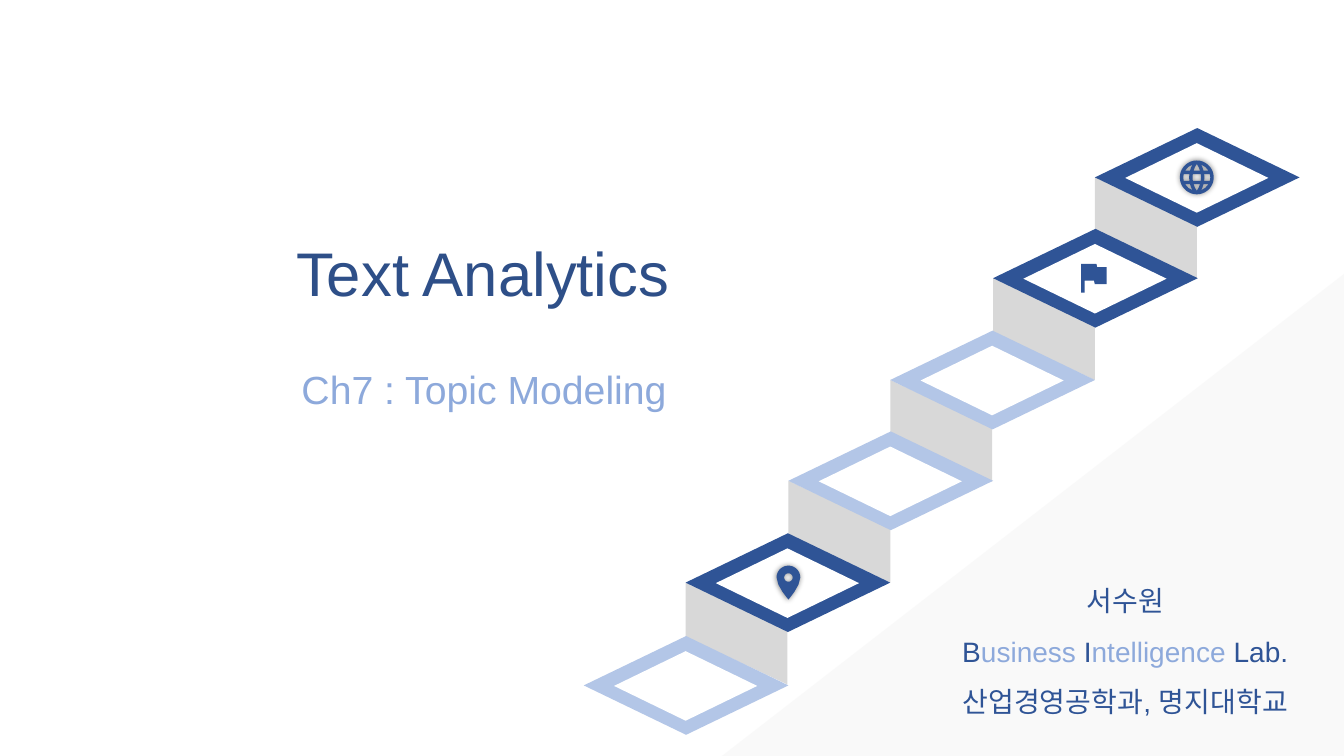
import math
import pptx
import pptx.util
import pptx.dml.color
import pptx.enum.shapes
import pptx.enum.text
import pptx.oxml
import pptx.oxml.ns

PX = 9144
ICON_UNIT = 1.68
COLORS = {
    "navy": "2F5496", "title": "2E4F88", "sky": "8DA9DB", "pale": "B3C6E7",
    "white": "FFFFFF", "riser": "D8D8D8", "corner": "F2F2F2",
}
SHAPE = pptx.enum.shapes.MSO_SHAPE


def rgb(name):
    return pptx.dml.color.RGBColor.from_string(COLORS[name])


class Deck:
    font = "Arial"

    def __init__(self, width, height):
        self.prs = pptx.Presentation()
        self.prs.slide_width = width * PX
        self.prs.slide_height = height * PX
        self.s = self.prs.slides.add_slide(self.prs.slide_layouts[6])

    def paint(self, sp, color):
        sp.shadow.inherit = False
        sp.fill.solid()
        sp.fill.fore_color.rgb = rgb(color)
        sp.line.fill.background()
        return sp

    def shape(self, kind, x, y, w, h, color):
        sp = self.s.shapes.add_shape(kind, x * PX, y * PX, w * PX, h * PX)
        return self.paint(sp, color)

    def icon(self, contours, cx, cy, color, glow=False):
        scaled = [[(round(x * 100), round(y * 100)) for x, y in c] for c in contours]
        first = scaled[0]
        fb = self.s.shapes.build_freeform(*first[0], scale=ICON_UNIT * PX / 100)
        fb.add_line_segments(first[1:], close=True)
        for points in scaled[1:]:
            fb.move_to(*points[0])
            fb.add_line_segments(points[1:], close=True)
        sp = self.paint(fb.convert_to_shape(cx * PX, cy * PX), color)
        if glow:
            effects = sp._element.spPr.find(pptx.oxml.ns.qn("a:effectLst"))
            effects.append(pptx.oxml.parse_xml(
                f'<a:outerShdw {pptx.oxml.ns.nsdecls("a")} blurRad="50800" dist="0" '
                'algn="ctr" rotWithShape="0"><a:srgbClr val="000000">'
                '<a:alpha val="45000"/></a:srgbClr></a:outerShdw>'))

    def text(self, x, y, w, h, lines, size, spacing=None):
        tf = self.s.shapes.add_textbox(x * PX, y * PX, w * PX, h * PX).text_frame
        tf.word_wrap = True
        tf.vertical_anchor = pptx.enum.text.MSO_ANCHOR.MIDDLE
        tf.margin_left = tf.margin_right = tf.margin_top = tf.margin_bottom = 0
        for i, runs in enumerate(lines):
            p = tf.paragraphs[0] if i == 0 else tf.add_paragraph()
            p.alignment = pptx.enum.text.PP_ALIGN.CENTER
            p.line_spacing = spacing
            for words, color in runs:
                r = p.add_run()
                r.text = words
                r.font.name = self.font
                r.font.size = pptx.util.Pt(size)
                r.font.color.rgb = rgb(color)


def arc(radius, cy=0, start=0, end=360):
    angles = [math.radians(start + (end - start) * i / 36) for i in range(37)]
    return [(radius * math.cos(a), cy + radius * math.sin(a)) for a in angles]


def mirror(points, sx, sy):
    return [(x * sx, y * sy) for x, y in points]


def globe():
    corner = [(6.92, -4), (3.97, -4), (3.4, -5.8), (2.59, -7.56), (5, -6.2)]
    cap = [(0, -7.96), (1.1, -6.1), (1.91, -4), (-1.91, -4), (-1.1, -6.1)]
    side = [(7.74, -2), (8, 0), (7.74, 2), (4.36, 2), (4.5, 0), (4.36, -2)]
    middle = [(2.34, -2), (2.5, 0), (2.34, 2), (-2.34, 2), (-2.5, 0), (-2.34, -2)]
    return ([arc(10), middle]
            + [mirror(corner, sx, sy) for sx in (1, -1) for sy in (1, -1)]
            + [mirror(cap, 1, sy) for sy in (1, -1)]
            + [mirror(side, sx, 1) for sx in (1, -1)])


def pin():
    edge = [(5.9, 1.25), (3.5, 5.47), (1.09, 8.7)]
    tail = edge + [(0, 10)] + mirror(edge, -1, 1)[::-1]
    return [arc(7, -3, 180, 360) + tail, arc(2.5, -3)]


def flag():
    return [[(1.9, -6.5), (1.5, -8.5), (-7.5, -8.5), (-7.5, 8.5), (-5.5, 8.5),
             (-5.5, 1.5), (0.1, 1.5), (0.5, 3.5), (7.5, 3.5), (7.5, -6.5)]]


def main():
    deck = Deck(1333, 750)
    triangle = deck.shape(SHAPE.RIGHT_TRIANGLE, 716, 271, 618, 479, "corner")
    triangle._element.spPr.xfrm.set("flipH", "1")
    tint = triangle._element.spPr.find(".//" + pptx.oxml.ns.qn("a:srgbClr"))
    tint.append(pptx.oxml.parse_xml(
        f'<a:alpha {pptx.oxml.ns.nsdecls("a")} val="40000"/>'))

    tops = [631, 529, 428, 328, 227, 127]
    tile_colors = ["pale", "navy", "pale", "pale", "navy", "navy"]
    tiles = [(round(579 + 101.4 * i), top) for i, top in enumerate(tops)]
    for x, y in tiles[1:]:
        riser = deck.shape(SHAPE.PARALLELOGRAM, x, y + 49, 101, 101, "riser")
        riser.adjustments[0] = 0.469
        riser.rotation = 270
    for (x, y), color in zip(tiles, tile_colors):
        deck.shape(SHAPE.DIAMOND, x, y, 203, 98, color)
        deck.shape(SHAPE.DIAMOND, x + 30, y + 15, 142, 69, "white")

    deck.icon(pin(), 782, 578, "navy", glow=True)
    deck.icon(globe(), 1187, 176, "navy", glow=True)
    deck.icon(flag(), 1085, 276, "navy")

    deck.text(45, 233, 868, 74, [[("Text Analytics", "title")]], 44)
    deck.text(46, 362, 868, 47, [[("Ch7 : Topic Modeling", "sky")]], 28)
    deck.text(932, 562, 368, 151, [
        [("서수원", "navy")],
        [("B", "navy"), ("usiness ", "sky"), ("I", "navy"),
         ("ntelligence ", "sky"), ("Lab.", "navy")],
        [("산업경영공학과, 명지대학교", "navy")],
    ], 20, spacing=1.5)
    deck.prs.save("out.pptx")


if __name__ == "__main__":
    main()
